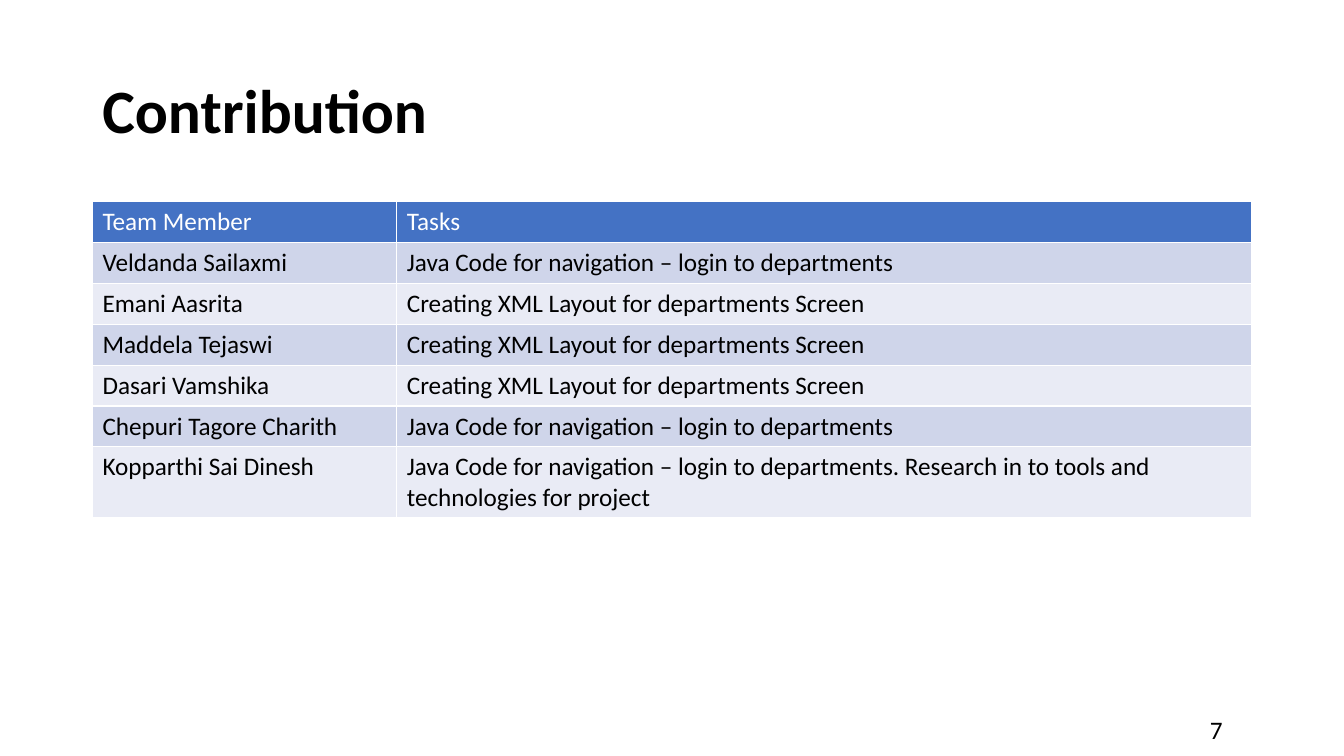
from pptx import Presentation
from pptx.dml.color import RGBColor
from pptx.enum.text import MSO_ANCHOR as Anchor
from pptx.util import Cm, Pt

BLACK = RGBColor(0x00, 0x00, 0x00)
WHITE = RGBColor(0xFF, 0xFF, 0xFF)
HEADER_BLUE = RGBColor(0x44, 0x72, 0xC4)
BAND_DARK = RGBColor(0xCF, 0xD5, 0xEA)
BAND_LIGHT = RGBColor(0xE9, 0xEB, 0xF5)

NAVIGATION = "Java Code for navigation – login to departments"
LAYOUT = "Creating XML Layout for departments Screen"
CONTRIBUTIONS = [
    ("Team Member", "Tasks"),
    ("Veldanda Sailaxmi", NAVIGATION),
    ("Emani Aasrita", LAYOUT),
    ("Maddela Tejaswi", LAYOUT),
    ("Dasari Vamshika", LAYOUT),
    ("Chepuri Tagore Charith", NAVIGATION),
    ("Kopparthi Sai Dinesh",
     NAVIGATION + ". Research in to tools and technologies for project"),
]
COLUMN_WIDTHS = (Cm(7.67), Cm(21.54))
ROW_HEIGHT = Cm(1.03)
LAST_ROW_HEIGHT = Cm(1.79)
LEFT = Cm(2.33)


def style_paragraph(p, size, color, bold=False):
    p.font.name = "Calibri"
    p.font.size = Pt(size)
    p.font.bold = bold
    p.font.color.rgb = color


def add_text(s, box, text, size, bold=False, wrap=True, anchor=Anchor.TOP):
    tf = s.shapes.add_textbox(*box).text_frame
    tf.word_wrap = wrap
    tf.vertical_anchor = anchor
    p = tf.paragraphs[0]
    p.text = text
    style_paragraph(p, size, BLACK, bold)
    return p


def add_contribution_table(s, rows):
    height = ROW_HEIGHT * (len(rows) - 1) + LAST_ROW_HEIGHT
    table = s.shapes.add_table(len(rows), len(COLUMN_WIDTHS), LEFT, Cm(5.08),
                               sum(COLUMN_WIDTHS), height).table
    for column, width in zip(table.columns, COLUMN_WIDTHS):
        column.width = width
    for i, row in enumerate(rows):
        table.rows[i].height = ROW_HEIGHT
        if i == 0:
            fill, color = HEADER_BLUE, WHITE
        else:
            fill, color = (BAND_DARK if i % 2 else BAND_LIGHT), BLACK
        for cell, text in zip(table.rows[i].cells, row):
            cell.text = text
            cell.fill.solid()
            cell.fill.fore_color.rgb = fill
            style_paragraph(cell.text_frame.paragraphs[0], 18, color)
    table.rows[len(rows) - 1].height = LAST_ROW_HEIGHT


def main():
    prs = Presentation()
    prs.slide_width, prs.slide_height = Cm(33.87), Cm(19.05)
    s = prs.slides.add_slide(prs.slide_layouts[6])
    title = add_text(s, (LEFT, Cm(1.01), Cm(29.21), Cm(3.68)),
                     "Contribution", 44, bold=True, anchor=Anchor.MIDDLE)
    title.line_spacing = 0.9
    add_contribution_table(s, CONTRIBUTIONS)
    add_text(s, (Cm(30.24), Cm(17.88), Cm(0.83), Cm(1.03)),
             "7", 18, wrap=False)
    prs.save("out.pptx")


if __name__ == "__main__":
    main()
